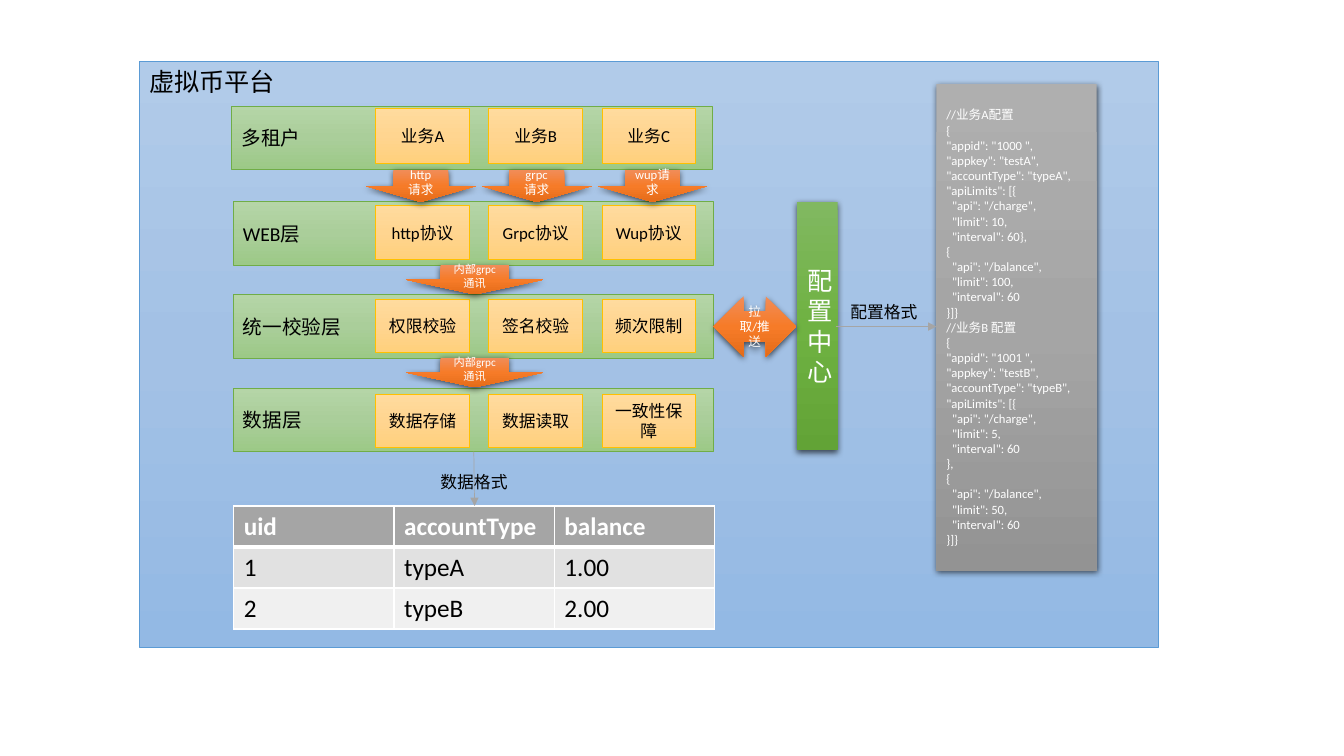
from copy import deepcopy

from lxml.etree import SubElement
from pptx import Presentation
from pptx.dml.color import RGBColor
from pptx.enum.shapes import MSO_CONNECTOR, MSO_SHAPE
from pptx.enum.text import MSO_ANCHOR, MSO_AUTO_SIZE, PP_ALIGN
from pptx.oxml import parse_xml
from pptx.oxml.ns import nsdecls, qn
from pptx.util import Cm, Pt

# Colours
BLACK = RGBColor(0x00, 0x00, 0x00)
WHITE = RGBColor(0xFF, 0xFF, 0xFF)
GRAY = RGBColor(0xA5, 0xA5, 0xA5)
BANDS = [GRAY, RGBColor(0xE1, 0xE1, 0xE1), RGBColor(0xF0, 0xF0, 0xF0)]
BLUE_EDGE = RGBColor(0x5B, 0x9B, 0xD5)
GREEN_EDGE = RGBColor(0x70, 0xAD, 0x47)
GOLD_EDGE = RGBColor(0xFF, 0xC0, 0x00)

# Gradients, from top to bottom
BLUE = [RGBColor(0xB1, 0xCB, 0xE9), RGBColor(0xA3, 0xC1, 0xE5), RGBColor(0x93, 0xB9, 0xE4)]
PALE = [RGBColor(0xB5, 0xD5, 0xA7), RGBColor(0xAA, 0xCE, 0x9A), RGBColor(0x9C, 0xC9, 0x87)]
GREEN = [RGBColor(0x81, 0xB8, 0x61), RGBColor(0x6F, 0xB2, 0x42), RGBColor(0x62, 0xA3, 0x36)]
GOLD = [RGBColor(0xFF, 0xDB, 0x9E), RGBColor(0xFF, 0xD5, 0x90), RGBColor(0xFF, 0xD0, 0x7C)]
ORANGE = [RGBColor(0xF1, 0x8C, 0x57), RGBColor(0xF6, 0x7B, 0x28), RGBColor(0xE5, 0x6C, 0x19)]
STEEL = [RGBColor(0xAF, 0xAF, 0xAF), GRAY, RGBColor(0x93, 0x93, 0x93)]

# Layers: left, top, name, box top, box height, box names
LAYERS = [
    (5.84, 2.67, "多租户", 2.72, 1.4, ["业务A", "业务B", "业务C"]),
    (5.87, 5.08, "WEB层", 5.18, 1.35, ["http协议", "Grpc协议", "Wup协议"]),
    (5.87, 7.42, "统一校验层", 7.54, 1.35, ["权限校验", "签名校验", "频次限制"]),
    (5.87, 9.78, "数据层", 9.93, 1.35, ["数据存储", "数据读取", "一致性保障"]),
]
CALLS = ["http\n请求", "grpc\n请求", "wup请求"]
ROWS = [("uid", "accountType", "balance"),
        ("1", "typeA", "1.00"),
        ("2", "typeB", "2.00")]
CONFIG = """//业务{title}配置
{{
"appid": "{id} ",
"appkey": "test{key}",
"accountType": "type{key}",
"apiLimits": [{{
  "api": "/charge",
  "limit": {charge},
  "interval": 60{gap}}},
{{
  "api": "/balance",
  "limit": {balance},
  "interval": 60
}}]}}"""


def write(frame, text, size, color=BLACK, align=PP_ALIGN.LEFT, bold=False):
    frame.text = text
    for para in frame.paragraphs:
        para.alignment = align
        for run in para.runs:
            font = run.font
            font.name, font.size, font.bold = "Calibri", Pt(size), bold
            font.color.rgb = color


def shade(fill, node, tones):
    fill.gradient()
    fill.gradient_angle = 270
    stops = node.find(".//" + qn("a:gsLst"))
    stops.insert(1, deepcopy(stops[0]))
    for stop, tone, place in zip(fill.gradient_stops, tones, (0, 0.5, 1)):
        stop.color.rgb = tone
        stop.position = place


def block(slide, box, text, size, tones, edge=None, kind=MSO_SHAPE.RECTANGLE,
          anchor=MSO_ANCHOR.MIDDLE, **style):
    """Outlined when an edge colour is given, otherwise shadowed."""
    shape = slide.shapes.add_shape(kind, *map(Cm, box))
    node = shape._element.spPr
    shade(shape.fill, node, tones)
    shape.shadow.inherit = False
    if edge:
        shape.line.color.rgb = edge
        shape.line.width = Pt(0.5)
    else:
        shape.line.fill.background()
        node.find(qn("a:effectLst")).append(parse_xml(
            f'<a:outerShdw {nsdecls("a")} blurRad="57150" dist="19050" dir="5400000" '
            'algn="ctr" rotWithShape="0"><a:srgbClr val="000000">'
            '<a:alpha val="63000"/></a:srgbClr></a:outerShdw>'))
    shape.text_frame.word_wrap = True
    shape.text_frame.vertical_anchor = anchor
    write(shape.text_frame, text, size, **style)


def arrow(slide, box, text, size, kind=MSO_SHAPE.DOWN_ARROW):
    block(slide, box, text, size, ORANGE, kind=kind, color=WHITE, align=PP_ALIGN.CENTER)


def link(slide, *ends):
    line = slide.shapes.add_connector(MSO_CONNECTOR.STRAIGHT, *map(Cm, ends))
    line.line.color.rgb = GRAY
    line.line.width = Pt(0.5)
    SubElement(line.line._get_or_add_ln(), qn("a:tailEnd"), type="triangle")
    SubElement(line._element.spPr, qn("a:effectLst"))


def label(slide, left, top, text):
    frame = slide.shapes.add_textbox(Cm(left), Cm(top), Cm(2.24), Cm(0.76)).text_frame
    frame.word_wrap = False
    frame.auto_size = MSO_AUTO_SIZE.SHAPE_TO_FIT_TEXT
    write(frame, text, 12)


def border(cell, row):
    props = cell._tc.get_or_add_tcPr()
    for spot, side in enumerate("LRTB"):
        thick = (row, side) in ((0, "B"), (1, "T"))
        props.insert(spot, parse_xml(
            f'<a:ln{side} {nsdecls("a")} w="{Pt(3 if thick else 1)}"><a:solidFill>'
            f'<a:srgbClr val="{WHITE}"/></a:solidFill></a:ln{side}>'))


def grid(slide, left, top, width, height):
    table = slide.shapes.add_table(len(ROWS), len(ROWS[0]), Cm(left), Cm(top),
                                   Cm(width), Cm(height)).table
    for r, texts in enumerate(ROWS):
        for c, text in enumerate(texts):
            cell = table.cell(r, c)
            cell.fill.solid()
            cell.fill.fore_color.rgb = BANDS[r]
            border(cell, r)
            write(cell.text_frame, text, 18, color=BLACK if r else WHITE, bold=r == 0)


def main():
    deck = Presentation()
    deck.slide_width, deck.slide_height = Cm(33.87), Cm(19.05)
    slide = deck.slides.add_slide(deck.slide_layouts[6])

    # Platform and its layers
    block(slide, (3.51, 1.55, 25.68, 14.76), "虚拟币平台", 18, BLUE, BLUE_EDGE,
          anchor=MSO_ANCHOR.TOP)
    for left, top, name, inner, height, parts in LAYERS:
        block(slide, (left, top, 12.12, 1.6), name, 14, PALE, GREEN_EDGE)
        for i, part in enumerate(parts):
            block(slide, (9.47 + 2.85 * i, inner, 2.36, height), part, 12, GOLD,
                  GOLD_EDGE, align=PP_ALIGN.CENTER)

    # Calls between layers
    for i, call in enumerate(CALLS):
        arrow(slide, (9.22 + 2.92 * i, 4.29, 2.77, 0.8), call, 9)
    for top in (6.68, 9.02):
        arrow(slide, (10.24, top, 3.45, 0.74), "内部grpc通讯", 8)

    # Config centre and its format
    block(slide, (20.09, 5.08, 1.02, 6.27), "配置中心", 18, GREEN,
          color=WHITE, align=PP_ALIGN.CENTER)
    arrow(slide, (17.98, 7.47, 2.08, 1.52), "拉取/推送", 9, MSO_SHAPE.LEFT_RIGHT_ARROW)
    configs = [
        CONFIG.format(title="A", key="A", id=1000, charge=10, balance=100, gap=""),
        CONFIG.format(title="B ", key="B", id=1001, charge=5, balance=50, gap="\n"),
    ]
    block(slide, (23.6, 2.11, 4.04, 12.27), "\n".join(configs), 9, STEEL, color=WHITE)
    link(slide, 21.08, 8.23, 23.6, 8.23)
    label(slide, 21.18, 7.47, "配置格式")

    # Data format
    grid(slide, 5.89, 12.75, 12.12, 3.1)
    link(slide, 11.94, 11.38, 11.96, 12.75)
    label(slide, 10.85, 11.76, "数据格式")

    deck.save("out.pptx")


main()
